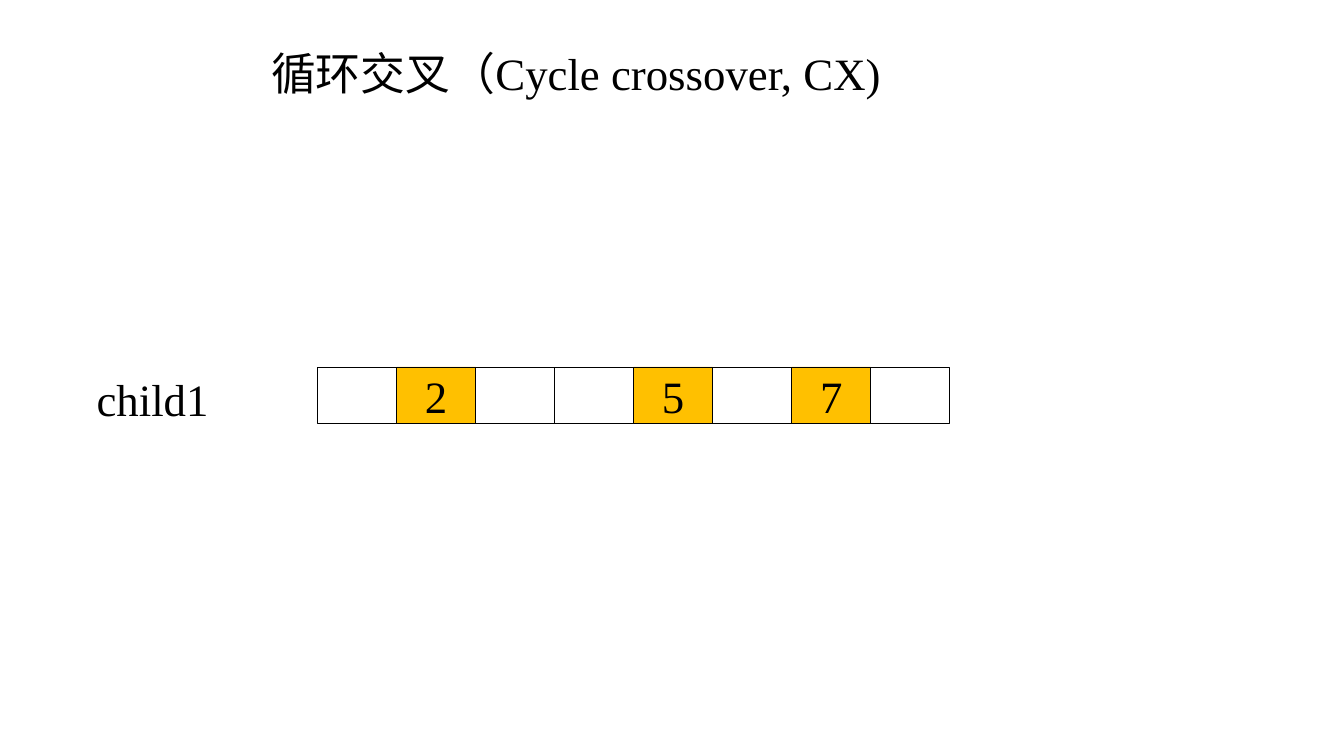
from pptx import Presentation
from pptx.dml.color import RGBColor
from pptx.enum.shapes import MSO_SHAPE
from pptx.enum.text import MSO_ANCHOR, PP_ALIGN
from pptx.util import Inches, Pt

RECT = MSO_SHAPE.RECTANGLE
MIDDLE = MSO_ANCHOR.MIDDLE
CENTER = PP_ALIGN.CENTER


def color(code):
    return RGBColor.from_string(code)


def write(shape, text):
    shape.text_frame.text = text
    font = shape.text_frame.paragraphs[0].runs[0].font
    font.name = "Times New Roman"
    font.size = Pt(32)
    font.color.rgb = color("000000")


deck = Presentation()
deck.slide_width = Inches(13.33)
deck.slide_height = Inches(7.5)
slide = deck.slides.add_slide(deck.slide_layouts[6])

labels = [
    ("循环交叉（Cycle crossover, CX)", 2.59, 0.4, 6.31, True),
    ("child1", 0.86, 3.64, 1.44, False),
]
for text, left, top, width, wrap in labels:
    label = slide.shapes.add_textbox(
        Inches(left), Inches(top), Inches(width), Inches(0.64))
    label.text_frame.word_wrap = wrap
    write(label, text)

genes = ["", "2", "", "", "5", "", "7", ""]
step = 6.27 / len(genes)
for i, gene in enumerate(genes):
    cell = slide.shapes.add_shape(
        RECT, Inches(3.15 + i * step), Inches(3.64), Inches(step), Inches(0.56))
    cell.shadow.inherit = False
    cell.line.color.rgb = color("000000")
    cell.line.width = Pt(0.5)
    if gene:
        cell.fill.solid()
        cell.fill.fore_color.rgb = color("FFC000")
        write(cell, gene)
        cell.text_frame.vertical_anchor = MIDDLE
        cell.text_frame.paragraphs[0].alignment = CENTER
    else:
        cell.fill.background()

deck.save("out.pptx")
